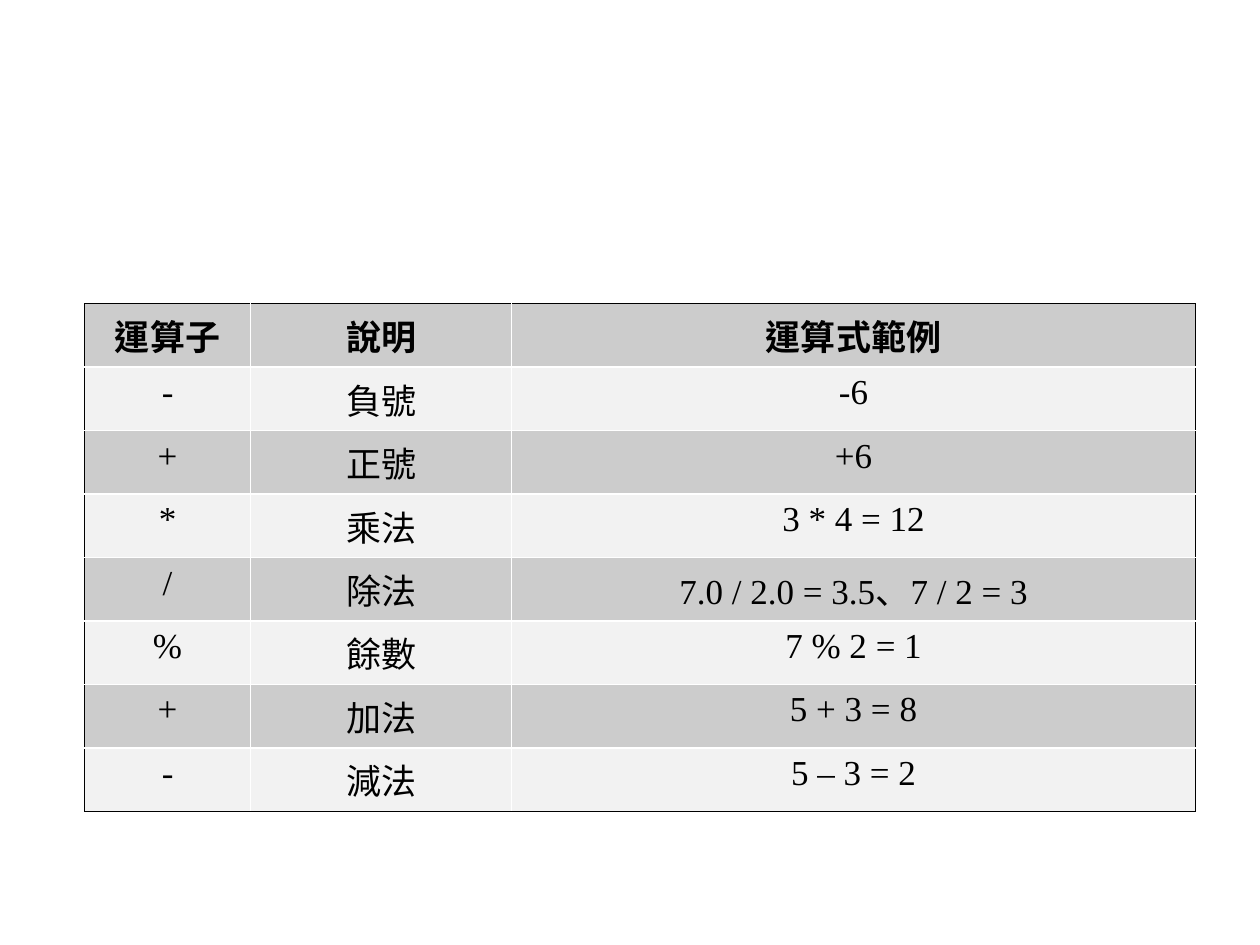
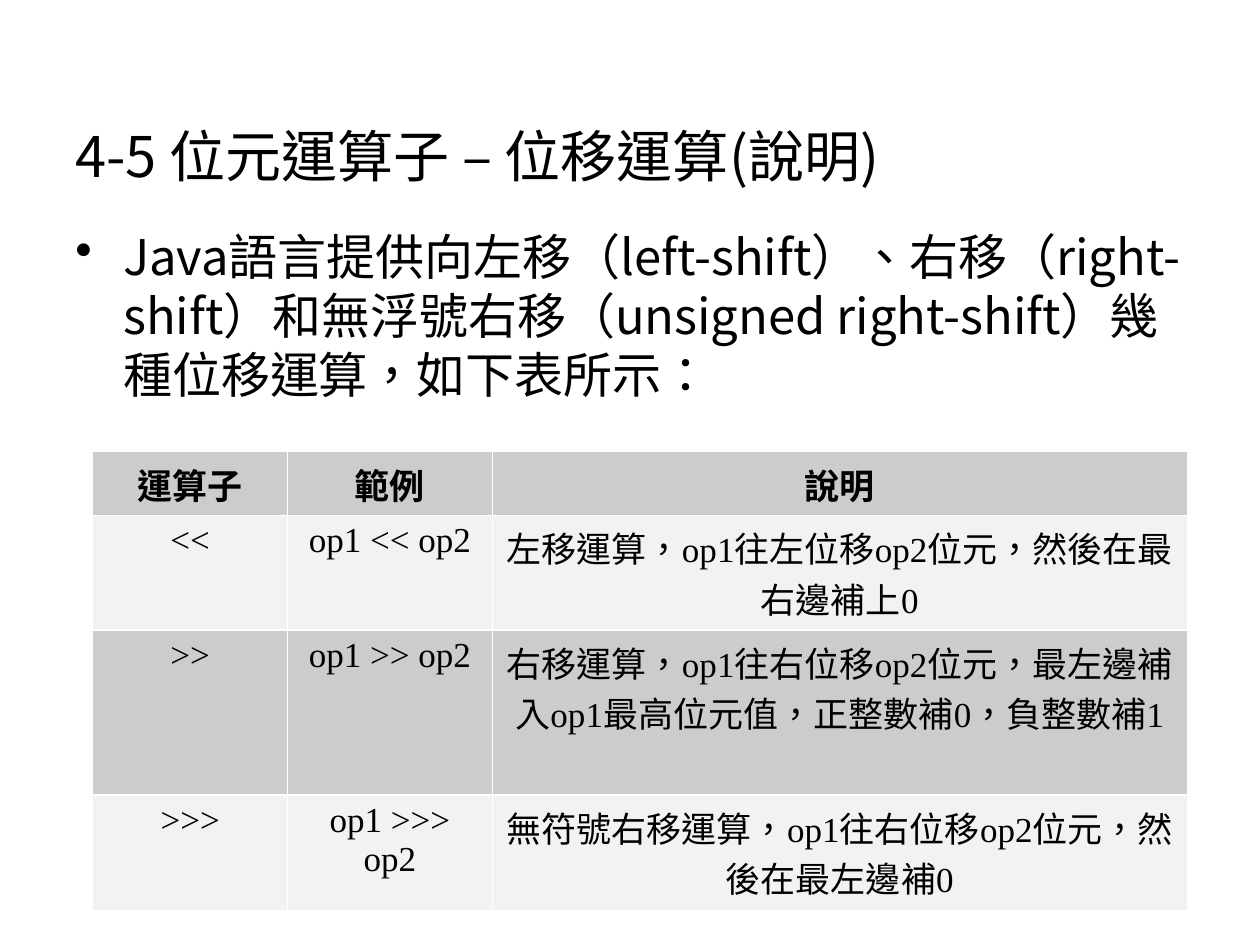
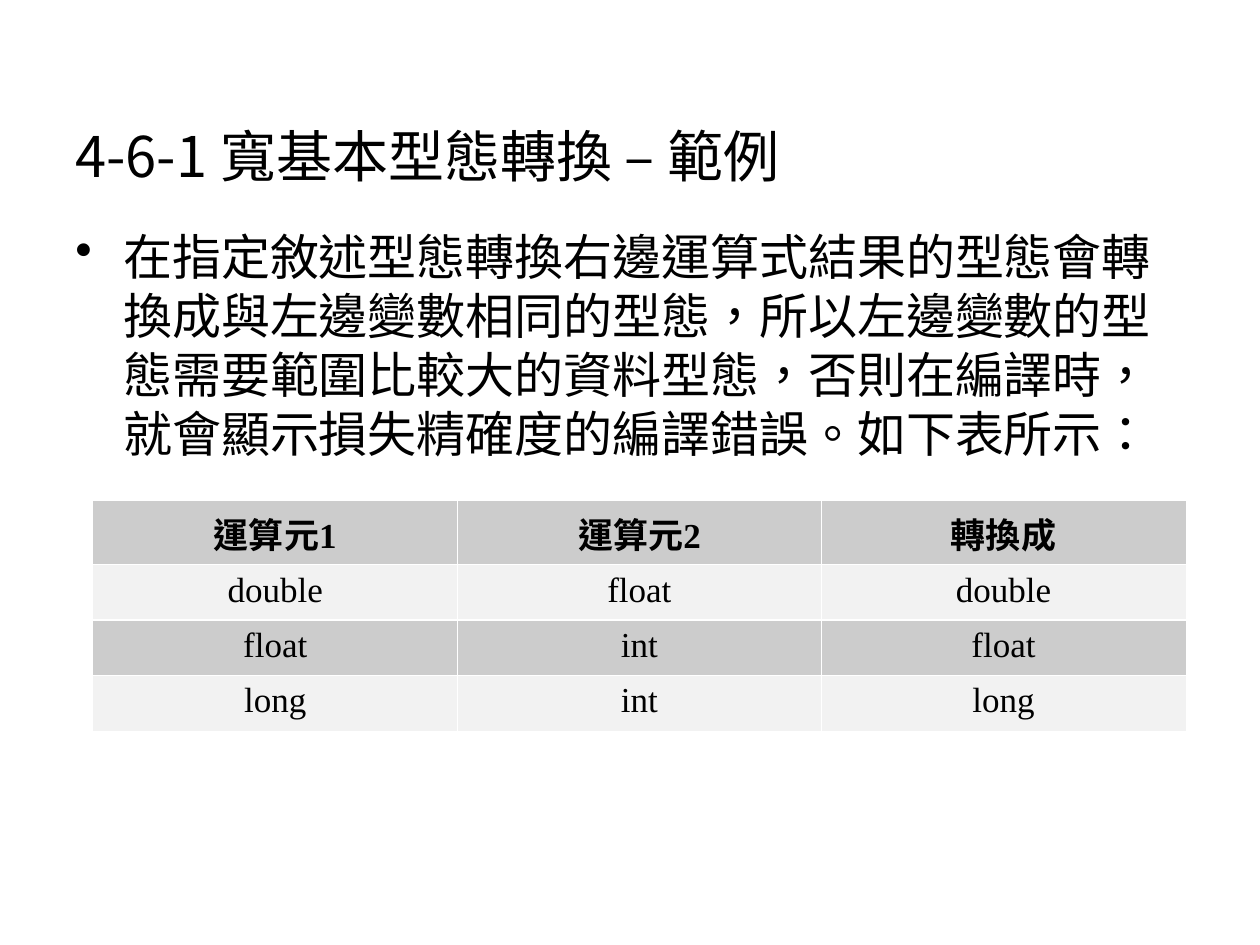
from lxml import etree
from pptx import Presentation
from pptx.dml.color import RGBColor
from pptx.enum.lang import MSO_LANGUAGE_ID
from pptx.enum.text import MSO_ANCHOR, PP_ALIGN
from pptx.oxml.ns import qn
from pptx.util import Inches, Pt

BLACK = RGBColor(0x00, 0x00, 0x00)
WHITE = RGBColor(0xFF, 0xFF, 0xFF)
DARK_BAND = RGBColor(0xCC, 0xCC, 0xCC)
LIGHT_BAND = RGBColor(0xF2, 0xF2, 0xF2)
SANS = "Noto Sans CJK SC"
SERIF = "Times New Roman"
CENTER = PP_ALIGN.CENTER
BOTTOM = MSO_ANCHOR.BOTTOM
TOP = MSO_ANCHOR.TOP
TAIWAN = MSO_LANGUAGE_ID.TRADITIONAL_CHINESE
INNER_WIDTH = Pt(0.96)
OUTER_WIDTH = Pt(0.45)


class LessonDeck:
    def __init__(self):
        self.deck = Presentation()
        self.deck.slide_width = Inches(10)
        self.deck.slide_height = Inches(7.5)
        self.page = None

    def add_page(self):
        self.page = self.deck.slides.add_slide(self.deck.slide_layouts[6])

    def style(self, paragraph, size, latin, bold=False):
        font = paragraph.font
        font.size = Pt(size)
        font.name = latin
        font.bold = bold
        font.color.rgb = BLACK
        font.language_id = TAIWAN
        defaults = paragraph._p.pPr.find(qn("a:defRPr"))
        etree.SubElement(defaults, qn("a:ea"), typeface=SANS)

    def add_text(self, text, top, height, anchor):
        box = self.page.shapes.add_textbox(
            Inches(0.5), Inches(top), Inches(9), Inches(height))
        frame = box.text_frame
        frame.word_wrap = True
        frame.vertical_anchor = anchor
        paragraph = frame.paragraphs[0]
        paragraph.text = text
        return paragraph

    def add_title(self, text):
        paragraph = self.add_text(text, 0.3, 1.25, BOTTOM)
        self.style(paragraph, 32, SANS)

    def add_bullet(self, text):
        paragraph = self.add_text(text, 1.75, 4.95, TOP)
        properties = paragraph._p.get_or_add_pPr()
        properties.set("marL", str(Inches(0.38)))
        properties.set("indent", str(Inches(-0.38)))
        etree.SubElement(properties, qn("a:buChar"), char="•")
        self.style(paragraph, 28, SANS)

    def add_border(self, cell, side, color, width):
        line = etree.SubElement(
            cell._tc.get_or_add_tcPr(), qn(f"a:ln{side}"), w=str(width))
        if color is None:
            etree.SubElement(line, qn("a:noFill"))
        else:
            fill = etree.SubElement(line, qn("a:solidFill"))
            etree.SubElement(fill, qn("a:srgbClr"), val=str(color))

    def add_table(self, left, top, widths, heights, rows, outline=None):
        table = self.page.shapes.add_table(
            len(rows), len(widths), Inches(left), Inches(top),
            Inches(sum(widths)), Inches(sum(heights))).table
        table.first_row = False
        table.horz_banding = False
        for column, width in zip(table.columns, widths):
            column.width = Inches(width)
        for row, height in zip(table.rows, heights):
            row.height = Inches(height)
        for row_index, texts in enumerate(rows):
            for column_index, text in enumerate(texts):
                cell = table.cell(row_index, column_index)
                outer_sides = {
                    "L": column_index == 0,
                    "R": column_index == len(widths) - 1,
                    "T": row_index == 0,
                    "B": row_index == len(rows) - 1,
                }
                for side, is_outer in outer_sides.items():
                    if is_outer:
                        self.add_border(cell, side, outline, OUTER_WIDTH)
                    else:
                        self.add_border(cell, side, WHITE, INNER_WIDTH)
                cell.fill.solid()
                cell.fill.fore_color.rgb = LIGHT_BAND if row_index % 2 else DARK_BAND
                paragraph = cell.text_frame.paragraphs[0]
                paragraph.text = text
                paragraph.alignment = CENTER
                self.style(paragraph, 20, SERIF, bold=row_index == 0)


ARITHMETIC_ROWS = [
    ("運算子", "說明", "運算式範例"),
    ("-", "負號", "-6"),
    ("+", "正號", "+6"),
    ("*", "乘法", "3 * 4 = 12"),
    ("/", "除法", "7.0 / 2.0 = 3.5、7 / 2 = 3"),
    ("%", "餘數", "7 % 2 = 1"),
    ("+", "加法", "5 + 3 = 8"),
    ("-", "減法", "5 – 3 = 2"),
]
SHIFT_ROWS = [
    ("運算子", "範例", "說明"),
    ("<<", "op1 << op2", "左移運算，op1往左位移op2位元，然後在最右邊補上0"),
    (">>", "op1 >> op2",
     "右移運算，op1往右位移op2位元，最左邊補入op1最高位元值，正整數補0，負整數補1"),
    (">>>", "op1 >>> op2", "無符號右移運算，op1往右位移op2位元，然後在最左邊補0"),
]
CONVERSION_ROWS = [
    ("運算元1", "運算元2", "轉換成"),
    ("double", "float", "double"),
    ("float", "int", "float"),
    ("long", "int", "long"),
]


def main():
    lesson = LessonDeck()

    lesson.add_page()
    lesson.add_table(0.67, 2.41, [1.32, 2.07, 5.43], [0.44] + [0.48] * 7,
                     ARITHMETIC_ROWS, outline=BLACK)

    lesson.add_page()
    lesson.add_title("4-5 位元運算子 – 位移運算(說明)")
    lesson.add_bullet(
        "Java語言提供向左移（left-shift）、右移（right-shift）和無浮號右移"
        "（unsigned right-shift）幾種位移運算，如下表所示：")
    lesson.add_table(0.74, 3.59, [1.54, 1.63, 5.51], [0.5, 0.91, 1.31, 0.91],
                     SHIFT_ROWS)

    lesson.add_page()
    lesson.add_title("4-6-1 寬基本型態轉換 – 範例")
    lesson.add_bullet(
        "在指定敘述型態轉換右邊運算式結果的型態會轉換成與左邊變數相同的型態，"
        "所以左邊變數的型態需要範圍比較大的資料型態，否則在編譯時，"
        "就會顯示損失精確度的編譯錯誤。如下表所示：")
    lesson.add_table(0.74, 3.98, [2.89] * 3, [0.5] + [0.44] * 3, CONVERSION_ROWS)

    lesson.deck.save("out.pptx")


if __name__ == "__main__":
    main()
